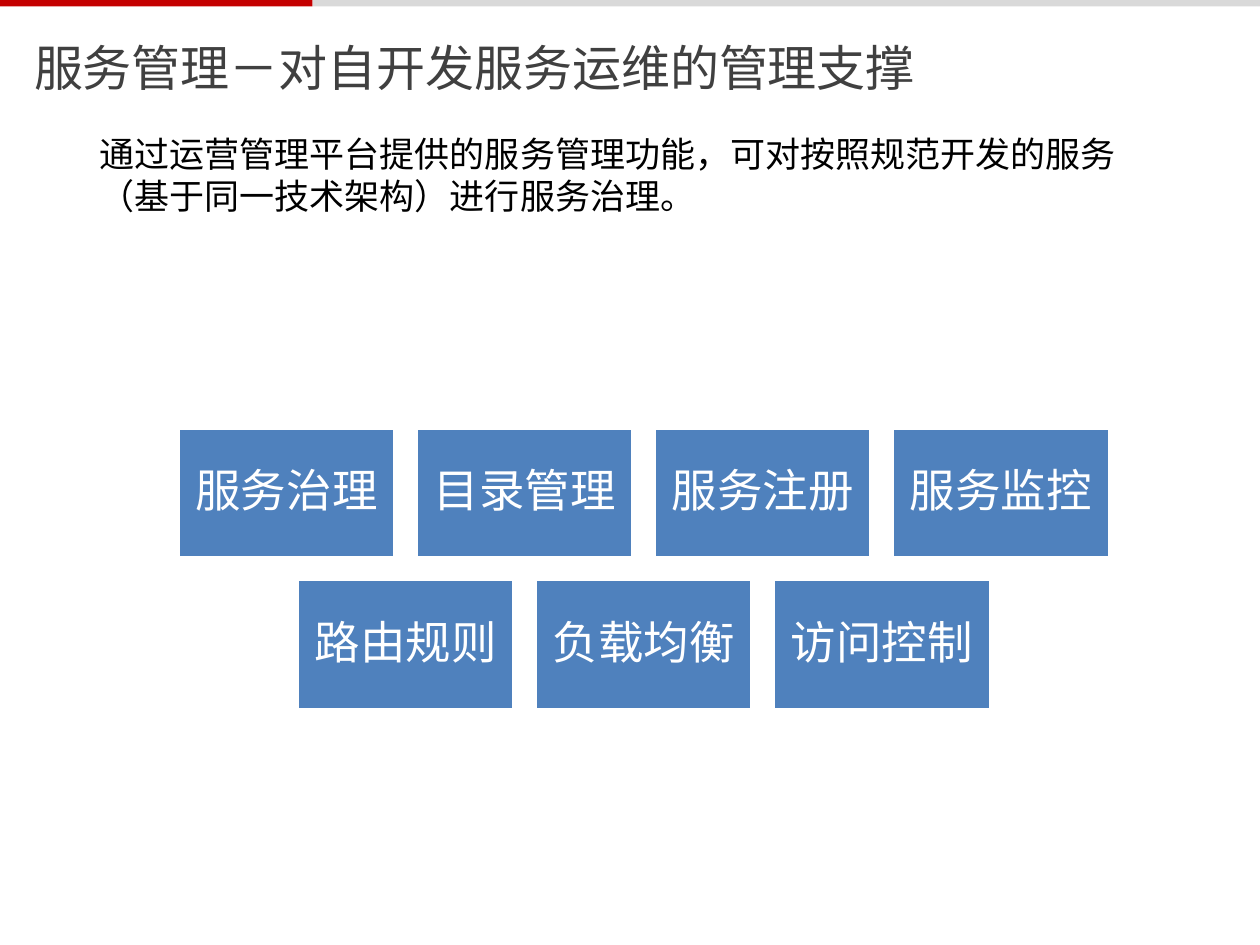
from pptx import Presentation
from pptx.dml.color import RGBColor
from pptx.enum.shapes import MSO_SHAPE
from pptx.enum.text import MSO_ANCHOR, MSO_AUTO_SIZE, PP_ALIGN
from pptx.util import Inches, Pt


def add_rect(x, y, w, h, color):
    sp = s.shapes.add_shape(MSO_SHAPE.RECTANGLE, Inches(x), Inches(y), Inches(w), Inches(h))
    sp.shadow.inherit = False
    sp.fill.solid()
    sp.fill.fore_color.rgb = RGBColor.from_string(color)
    sp.line.fill.background()
    return sp


def add_run(p, text, size, color, font="Calibri"):
    r = p.add_run()
    r.text = text
    r.font.size = Pt(size)
    r.font.name = font
    r.font.color.rgb = RGBColor.from_string(color)


prs = Presentation()
prs.slide_width, prs.slide_height = Inches(10), Inches(7.5)
s = prs.slides.add_slide(prs.slide_layouts[5])

# Top bar: red part, then grey part
RED_W, BAR_H = 2.48, 0.05
add_rect(RED_W, 0, 10 - RED_W, BAR_H, "D9D9D9")
add_rect(0, 0, RED_W, BAR_H, "C40000")

# Title
title = s.shapes.title
title.left, title.top, title.width, title.height = [Inches(v) for v in (0.17, 0.25, 7.27, 0.57)]
tf = title.text_frame
tf.word_wrap = False
tf.auto_size = MSO_AUTO_SIZE.NONE
tf.vertical_anchor = MSO_ANCHOR.TOP
p = tf.paragraphs[0]
p.alignment = PP_ALIGN.LEFT
add_run(p, "服务管理－对自开发服务运维的管理支撑", 28, "404040", "Noto Sans CJK SC")

# Function boxes: each row centred on the same axis
BOX_W, BOX_H, GAP = 1.72, 1.03, 0.17
CENTER, TOP = 5.11, 3.4
rows = [
    ["服务治理", "目录管理", "服务注册", "服务监控"],
    ["路由规则", "负载均衡", "访问控制"],
]
for i, names in enumerate(rows):
    left = CENTER - (len(names) * (BOX_W + GAP) - GAP) / 2
    for j, name in enumerate(names):
        sp = add_rect(left + j * (BOX_W + GAP), TOP + i * (BOX_H + GAP), BOX_W, BOX_H, "4F81BD")
        sp.line.color.rgb = RGBColor.from_string("FFFFFF")
        sp.line.width = Pt(2)
        tf = sp.text_frame
        tf.word_wrap = True
        tf.vertical_anchor = MSO_ANCHOR.MIDDLE
        tf.margin_left = tf.margin_right = tf.margin_top = tf.margin_bottom = Inches(0.11)
        p = tf.paragraphs[0]
        p.alignment = PP_ALIGN.CENTER
        p.line_spacing = 0.9
        add_run(p, name, 26, "FFFFFF")

# Description
tf = s.shapes.add_textbox(Inches(0.69), Inches(1), Inches(8.82), Inches(0.77)).text_frame
tf.word_wrap = True
add_run(tf.paragraphs[0],
        "通过运营管理平台提供的服务管理功能，可对按照规范开发的服务（基于同一技术架构）进行服务治理。",
        20, "000000")

prs.save("out.pptx")
